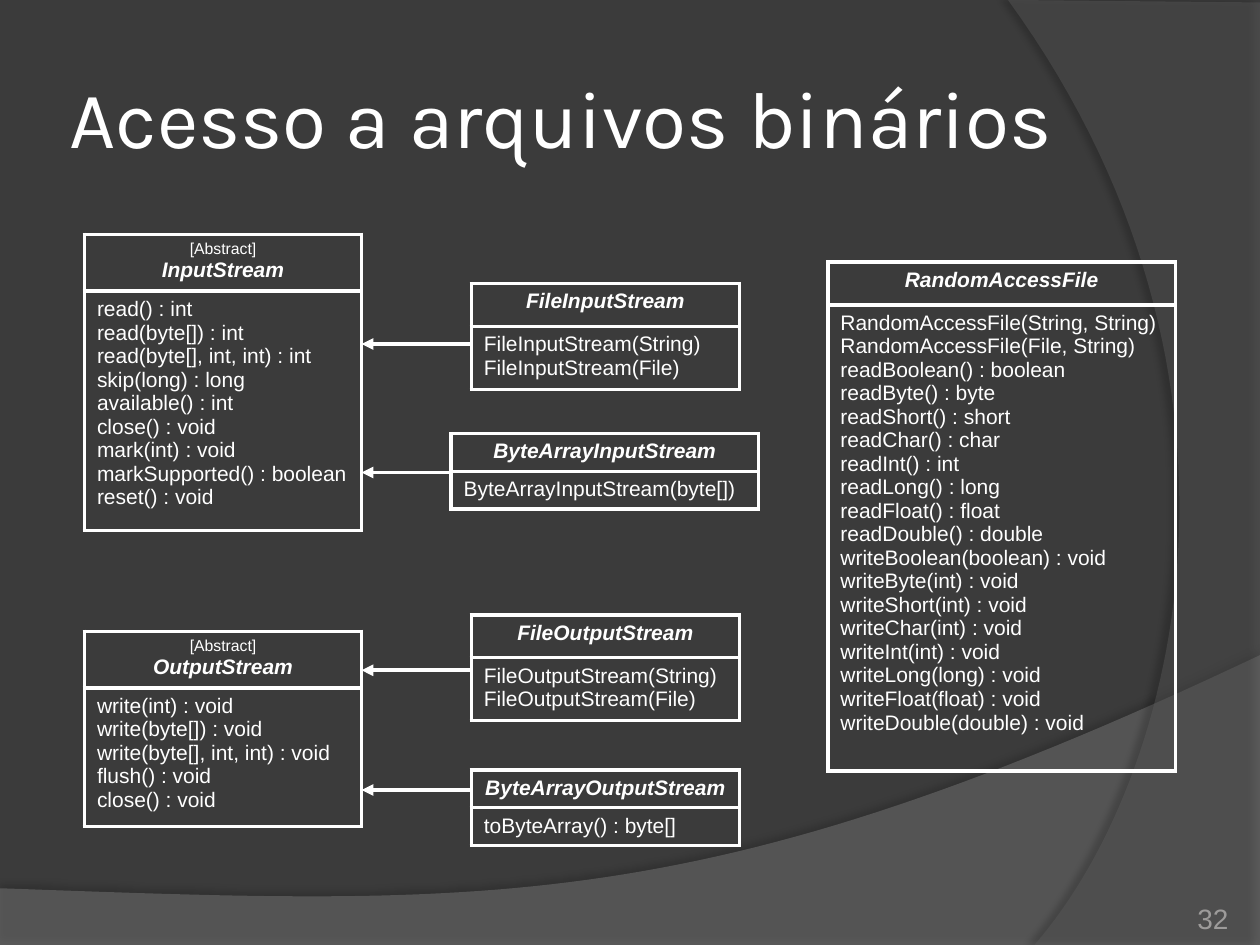
from dataclasses import dataclass

import pptx
import pptx.dml.color
import pptx.enum.shapes
import pptx.enum.text
import pptx.oxml
import pptx.oxml.ns
import pptx.util

Inches = pptx.util.Inches
Pt = pptx.util.Pt
ALIGN = pptx.enum.text.PP_ALIGN
ANCHOR = pptx.enum.text.MSO_ANCHOR
COLORS = {
    "background": "3B3B3B",
    "text": "FFFFFF",
    "number": "9D9B9A",
    "wave": "7F7F7F",
    "arc": "5E5E5E",
    "shadow": "000000",
}
LINE_WIDTH = Pt(2.25)
CURVE_STEPS = 60


@dataclass
class ClassBox:
    name: str
    left: float
    top: float
    width: float
    height: float
    members: list[str]
    header: float = 0.34
    abstract: bool = False


@dataclass
class Arrow:
    start: float
    y: float
    end: float = 2.87


BOXES = [
    ClassBox("InputStream", 0.67, 1.86, 2.2, 2.21, [
        "read() : int", "read(byte[]) : int", "read(byte[], int, int) : int",
        "skip(long) : long", "available() : int", "close() : void",
        "mark(int) : void", "markSupported() : boolean", "reset() : void",
    ], header=0.43, abstract=True),
    ClassBox("OutputStream", 0.67, 5.01, 2.2, 1.46, [
        "write(int) : void", "write(byte[]) : void",
        "write(byte[], int, int) : void", "flush() : void", "close() : void",
    ], header=0.43, abstract=True),
    ClassBox("FileOutputStream", 3.74, 4.88, 2.13, 0.81,
             ["FileOutputStream(String)", "FileOutputStream(File)"]),
    ClassBox("FileInputStream", 3.74, 2.25, 2.13, 0.81,
             ["FileInputStream(String)", "FileInputStream(File)"]),
    ClassBox("ByteArrayInputStream", 3.58, 3.44, 2.44, 0.57,
             ["ByteArrayInputStream(byte[])"], header=0.28),
    ClassBox("ByteArrayOutputStream", 3.74, 6.11, 2.13, 0.57,
             ["toByteArray() : byte[]"], header=0.28),
    ClassBox("RandomAccessFile", 6.57, 2.08, 2.76, 3.8, [
        "RandomAccessFile(String, String)", "RandomAccessFile(File, String)",
        "readBoolean() : boolean", "readByte() : byte", "readShort() : short",
        "readChar() : char", "readInt() : int", "readLong() : long",
        "readFloat() : float", "readDouble() : double",
        "writeBoolean(boolean) : void", "writeByte(int) : void",
        "writeShort(int) : void", "writeChar(int) : void",
        "writeInt(int) : void", "writeLong(long) : void",
        "writeFloat(float) : void", "writeDouble(double) : void",
    ]),
]
ARROWS = [Arrow(3.74, 2.73), Arrow(3.58, 3.75), Arrow(3.74, 5.32), Arrow(3.74, 6.27)]


def rgb(name: str) -> pptx.dml.color.RGBColor:
    return pptx.dml.color.RGBColor.from_string(COLORS[name])


def element(xml: str):
    return pptx.oxml.parse_xml(xml.replace(">", f' {pptx.oxml.ns.nsdecls("a")}>', 1))


def write(p, text: str, *, size=12, font="Arial", color="text",
          bold=False, italic=False, align=ALIGN.LEFT) -> None:
    p.alignment = align
    r = p.add_run()
    r.text = text
    r.font.size = Pt(size)
    r.font.name = font
    r.font.bold = bold
    r.font.italic = italic
    r.font.color.rgb = rgb(color)


def add_label(s, text: str, left, top, width, height, *, inset, anchor, **style) -> None:
    tf = s.shapes.add_textbox(Inches(left), Inches(top), Inches(width), Inches(height)).text_frame
    tf.word_wrap = True
    tf.vertical_anchor = anchor
    tf.margin_left = tf.margin_right = tf.margin_top = tf.margin_bottom = Inches(inset)
    write(tf.paragraphs[0], text, **style)


def bezier(*points: tuple[float, float]) -> list[tuple[float, float]]:
    curve = []
    for step in range(CURVE_STEPS + 1):
        t = step / CURVE_STEPS
        weights = ((1 - t) ** 3, 3 * t * (1 - t) ** 2, 3 * t * t * (1 - t), t ** 3)
        curve.append(tuple(sum(w * pt[axis] for w, pt in zip(weights, points)) for axis in (0, 1)))
    return curve


def add_backdrop(s, points: list[tuple[float, float]], color: str, opacity: int,
                 shadow: int, distance: float, angle: int) -> None:
    start, *rest = [(Inches(x), Inches(y)) for x, y in points]
    builder = s.shapes.build_freeform(*start)
    builder.add_line_segments(rest, close=True)
    sp = builder.convert_to_shape()
    sp.line.fill.background()
    sp.fill.solid()
    sp.fill.fore_color.rgb = rgb(color)
    fill = sp.fill._xPr.find(pptx.oxml.ns.qn("a:solidFill"))
    fill[0].append(element(f'<a:alpha val="{opacity * 1000}"></a:alpha>'))
    sp._element.spPr.append(element(
        f'<a:effectLst><a:outerShdw blurRad="{Pt(4)}" dist="{Pt(distance)}" '
        f'dir="{angle * 60000}" algn="ctr" rotWithShape="0">'
        f'<a:srgbClr val="{COLORS["shadow"]}"><a:alpha val="{shadow * 1000}"/></a:srgbClr>'
        '</a:outerShdw></a:effectLst>'))


def style_cell(cell) -> None:
    cell.fill.background()
    tcPr = cell._tc.get_or_add_tcPr()
    for index, side in enumerate("LRTB"):
        tcPr.insert(index, element(
            f'<a:ln{side} w="{LINE_WIDTH}"><a:solidFill>'
            f'<a:srgbClr val="{COLORS["text"]}"/></a:solidFill></a:ln{side}>'))


def add_class(s, box: ClassBox) -> None:
    table = s.shapes.add_table(2, 1, Inches(box.left), Inches(box.top),
                               Inches(box.width), Inches(box.height)).table
    table.first_row = False
    table.horz_banding = False
    table.rows[0].height = Inches(box.header)
    table.rows[1].height = Inches(box.height - box.header)
    head, body = table.cell(0, 0), table.cell(1, 0)
    style_cell(head)
    style_cell(body)
    p = head.text_frame.paragraphs[0]
    if box.abstract:
        write(p, "[Abstract]", size=9, align=ALIGN.CENTER)
        p = head.text_frame.add_paragraph()
    write(p, box.name, bold=True, italic=True, align=ALIGN.CENTER)
    tf = body.text_frame
    for index, member in enumerate(box.members):
        write(tf.add_paragraph() if index else tf.paragraphs[0], member)


def add_arrow(s, arrow: Arrow) -> None:
    line = s.shapes.add_connector(pptx.enum.shapes.MSO_CONNECTOR.STRAIGHT,
                                  Inches(arrow.start), Inches(arrow.y),
                                  Inches(arrow.end), Inches(arrow.y))
    line.line.color.rgb = rgb("text")
    line.line.width = LINE_WIDTH
    line.line._get_or_add_ln().append(element('<a:tailEnd type="triangle"></a:tailEnd>'))
    line._element.spPr.append(element("<a:effectLst></a:effectLst>"))


def main() -> None:
    prs = pptx.Presentation()
    prs.slide_width, prs.slide_height = Inches(10), Inches(7.5)
    s = prs.slides.add_slide(prs.slide_layouts[6])
    s.background.fill.solid()
    s.background.fill.fore_color.rgb = rgb("background")

    wave = bezier((10, 5.2), (5.59, 7.29), (3.91, 7.19), (0, 7.05))
    add_backdrop(s, [(0, 7.5), (10, 7.5), *wave], "wave", 45, 35, 3.5, 270)
    arc = bezier((8.21, 7.5), (9.35, 6.19), (10.18, 3), (8, 0))
    add_backdrop(s, [(10, 0.02), (10, 7.5), *arc], "arc", 40, 45, 4, 180)

    add_label(s, "Acesso a arquivos binários", 0.5, 0.3, 8.17, 1.25,
              inset=0.05, anchor=ANCHOR.MIDDLE, size=46, font="Karla")
    add_label(s, "32", 8.92, 7.02, 0.83, 0.4, inset=0, anchor=ANCHOR.BOTTOM,
              size=16, color="number", align=ALIGN.RIGHT)
    for box in BOXES:
        add_class(s, box)
    for arrow in ARROWS:
        add_arrow(s, arrow)
    prs.save("out.pptx")


if __name__ == "__main__":
    main()
